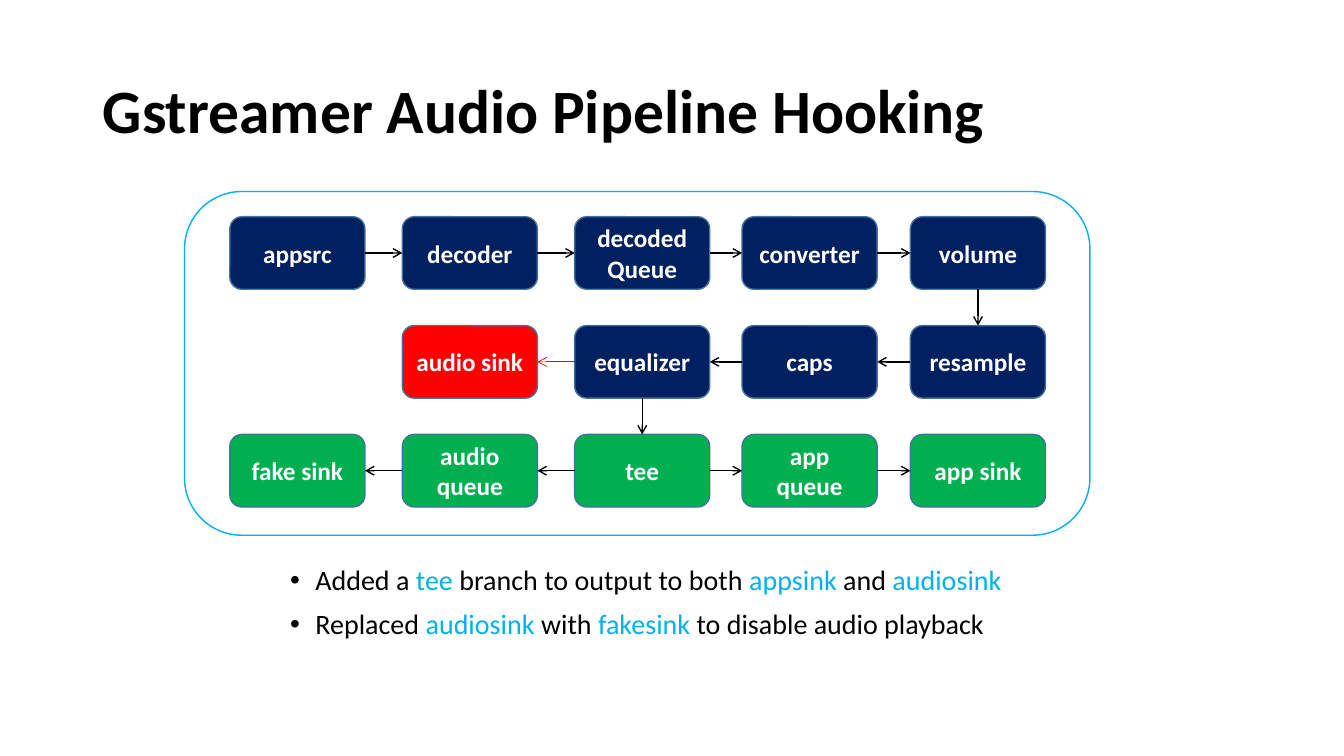
from lxml.etree import SubElement
from pptx import Presentation
from pptx.dml.color import RGBColor
from pptx.enum.shapes import MSO_CONNECTOR, MSO_SHAPE
from pptx.enum.text import MSO_ANCHOR, PP_ALIGN
from pptx.oxml.ns import qn
from pptx.util import Inches, Pt

FONT = "Calibri"
COLORS = {
    "black": "000000", "white": "FFFFFF", "navy": "002060", "red": "FF0000",
    "green": "00B050", "sky": "00B0F0", "outline": "43739E",
}

# Grid of pipeline stages, in inches
COLUMNS = [2.28, 3.99, 5.7, 7.36, 9.03]
TOP, ROW_STEP = 2.15, 1.08
STAGE_WIDTH, STAGE_HEIGHT = 1.34, 0.72

# Stage label: column, row, fill
STAGES = {
    "appsrc": (0, 0, "navy"),
    "decoder": (1, 0, "navy"),
    "decoded\nQueue": (2, 0, "navy"),
    "converter": (3, 0, "navy"),
    "volume": (4, 0, "navy"),
    "resample": (4, 1, "navy"),
    "caps": (3, 1, "navy"),
    "equalizer": (2, 1, "navy"),
    "audio sink": (1, 1, "red"),
    "tee": (2, 2, "green"),
    "audio queue": (1, 2, "green"),
    "fake sink": (0, 2, "green"),
    "app queue": (3, 2, "green"),
    "app sink": (4, 2, "green"),
}

# Chains of stages joined by black arrows
FLOWS = [
    ["appsrc", "decoder", "decoded\nQueue", "converter", "volume",
     "resample", "caps", "equalizer", "tee"],
    ["tee", "audio queue", "fake sink"],
    ["tee", "app queue", "app sink"],
]

# Connection sites of a rounded rectangle: (start, end) by direction
SITES = {(1, 0): (3, 1), (-1, 0): (1, 3), (0, 1): (2, 0)}

# Each note alternates plain and highlighted text
NOTES = [
    ["Added a ", "tee", " branch to output to both ", "appsink ", "and ", "audiosink"],
    ["Replaced ", "audiosink ", "with ", "fakesink ", "to disable audio playback"],
]


def rgb(name):
    return RGBColor.from_string(COLORS[name])


def style_run(run, size, color, bold=False):
    run.font.name = FONT
    run.font.size = Pt(size)
    run.font.bold = bold
    run.font.color.rgb = rgb(color)


def set_title(slide, text):
    title = slide.shapes.title
    title.left, title.top = Inches(0.92), Inches(0.4)
    title.width, title.height = Inches(11.5), Inches(1.45)
    frame = title.text_frame
    frame.text = text
    frame.vertical_anchor = MSO_ANCHOR.MIDDLE
    heading = frame.paragraphs[0]
    heading.alignment = PP_ALIGN.LEFT
    heading.line_spacing = 0.9
    style_run(heading.runs[0], 44, "black", bold=True)


def add_rounded(slide, left, top, width, height, line, fill=None):
    rounded = slide.shapes.add_shape(
        MSO_SHAPE.ROUNDED_RECTANGLE,
        Inches(left), Inches(top), Inches(width), Inches(height))
    rounded.shadow.inherit = False
    rounded.line.color.rgb = rgb(line)
    rounded.line.width = Pt(1)
    if fill:
        rounded.fill.solid()
        rounded.fill.fore_color.rgb = rgb(fill)
    else:
        rounded.fill.background()
    return rounded


def add_stage(slide, label, column, row, fill):
    stage = add_rounded(slide, COLUMNS[column], TOP + row * ROW_STEP,
                        STAGE_WIDTH, STAGE_HEIGHT, "outline", fill)
    frame = stage.text_frame
    frame.text = label
    frame.vertical_anchor = MSO_ANCHOR.MIDDLE
    for line in frame.paragraphs:
        line.alignment = PP_ALIGN.CENTER
        style_run(line.runs[0], 18, "white", bold=True)
    return stage


def add_arrow(slide, stages, source, target, color="black", weight=1):
    (from_column, from_row, _), (to_column, to_row, _) = STAGES[source], STAGES[target]
    start, end = SITES[to_column - from_column, to_row - from_row]
    arrow = slide.shapes.add_connector(MSO_CONNECTOR.STRAIGHT, 0, 0, 0, 0)
    arrow.begin_connect(stages[source], start)
    arrow.end_connect(stages[target], end)
    arrow.line.color.rgb = rgb(color)
    arrow.line.width = Pt(weight)
    SubElement(arrow.line._get_or_add_ln(), qn("a:tailEnd"), type="arrow")
    SubElement(arrow._element.spPr, qn("a:effectLst"))


def add_notes_list(slide):
    notes = slide.shapes.add_textbox(Inches(2.78), Inches(5.57), Inches(7.6), Inches(1.07))
    frame = notes.text_frame
    frame.word_wrap = True
    for index, pieces in enumerate(NOTES):
        note = frame.add_paragraph() if index else frame.paragraphs[0]
        note.line_spacing = 0.9
        note.space_before = Pt(10)
        for position, piece in enumerate(pieces):
            run = note.add_run()
            run.text = piece
            style_run(run, 20, "sky" if position % 2 else "black")
        # Bullet with hanging indent
        properties = note._p.get_or_add_pPr()
        properties.set("marL", str(Inches(0.25)))
        properties.set("indent", str(Inches(-0.25)))
        SubElement(properties, qn("a:buFont"), typeface="Arial")
        SubElement(properties, qn("a:buChar"), char="•")


def main():
    deck = Presentation()
    deck.slide_width, deck.slide_height = Inches(13.33), Inches(7.5)
    slide = deck.slides.add_slide(deck.slide_layouts[5])
    set_title(slide, "Gstreamer Audio Pipeline Hooking")

    # Pipeline frame and stages
    add_rounded(slide, 1.83, 1.9, 8.98, 3.41, "sky")
    stages = {label: add_stage(slide, label, *place) for label, place in STAGES.items()}

    # Arrows, with the replaced link in red
    for flow in FLOWS:
        for source, target in zip(flow, flow[1:]):
            add_arrow(slide, stages, source, target)
    add_arrow(slide, stages, "equalizer", "audio sink", "red", 0.5)

    add_notes_list(slide)
    deck.save("out.pptx")


if __name__ == "__main__":
    main()
